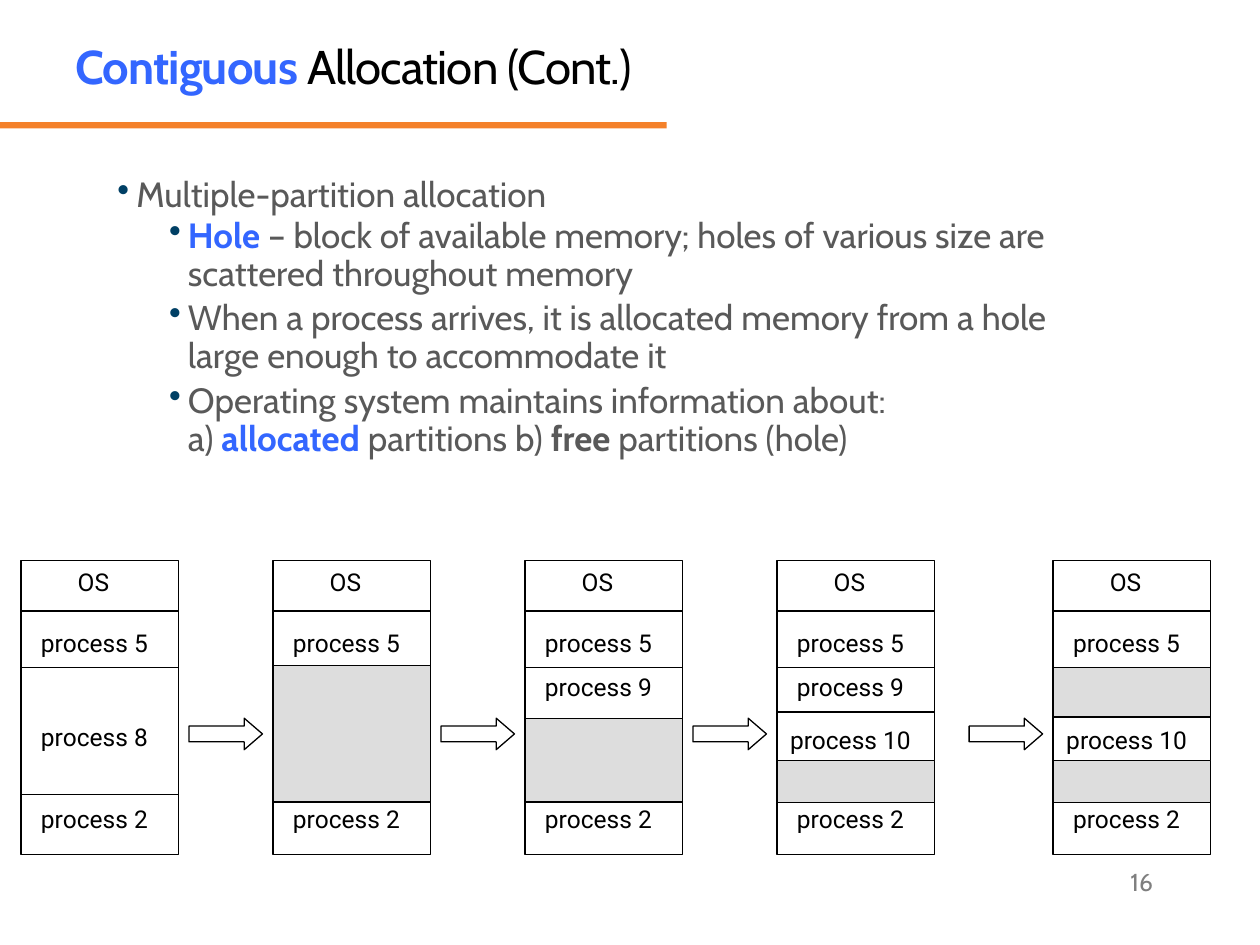
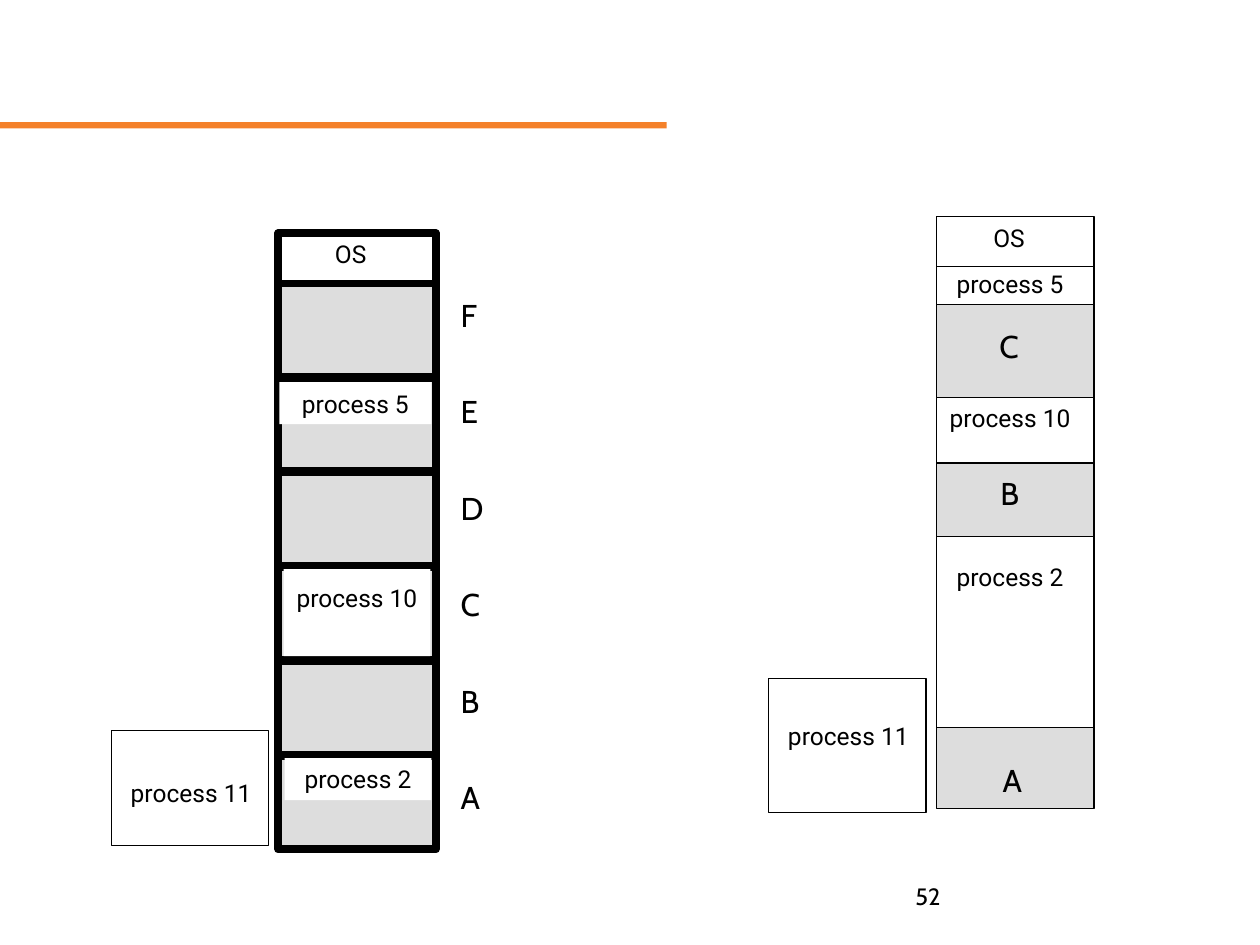
"""Build two slides on contiguous memory allocation, laid out on a grid of 120 by 90 cells."""
from dataclasses import dataclass
from typing import Optional

from lxml import etree
from pptx import Presentation
from pptx.dml.color import RGBColor
from pptx.enum.shapes import MSO_CONNECTOR, MSO_SHAPE
from pptx.enum.text import MSO_ANCHOR, PP_ALIGN
from pptx.oxml.ns import qn
from pptx.util import Inches, Pt

RECTANGLE, RIGHT_ARROW = MSO_SHAPE.RECTANGLE, MSO_SHAPE.RIGHT_ARROW
STRAIGHT = MSO_CONNECTOR.STRAIGHT
TOP, MIDDLE = MSO_ANCHOR.TOP, MSO_ANCHOR.MIDDLE
LEFT, CENTER, RIGHT = PP_ALIGN.LEFT, PP_ALIGN.CENTER, PP_ALIGN.RIGHT

COLORS = {
    "white": "FFFFFF",
    "black": "000000",
    "rule": "F4812A",
    "keyword": "3366FF",
    "body": "595959",
    "bullet": "004065",
    "page": "7F7F7F",
    "hole": "DDDDDD",
}
HEADING_FONT, LABEL_FONT = "Cabin", "Roboto"
SLIDE_WIDTH, SLIDE_HEIGHT = Inches(10), Inches(7.5)
GRID_COLUMNS, GRID_ROWS = 120, 90
MEMORY_WIDTH, LABEL_WIDTH, LABEL_HEIGHT = 15, 14, 4
THIN, THICK = 0.75, 4.5


@dataclass(frozen=True)
class Area:
    """A rectangle in grid columns and rows."""
    left: float
    top: float
    width: float
    height: float


@dataclass(frozen=True)
class Span:
    """A piece of text in one style; it may begin on a new line."""
    text: str
    color: str = "body"
    bold: bool = False
    new_line: bool = False


@dataclass(frozen=True)
class Bullet:
    """A bulleted paragraph, its level and its spans."""
    level: int
    spans: tuple[Span, ...]


@dataclass(frozen=True)
class Memory:
    """A memory map whose parts are given in rows below its top."""
    left: float
    top: float
    height: float
    dividers: tuple[float, ...] = ()
    holes: tuple[tuple[float, float], ...] = ()
    processes: tuple[tuple[str, float], ...] = ()
    line: float = THIN


@dataclass(frozen=True)
class Waiting:
    """A process outside memory and the drop of its label."""
    left: float
    top: float
    height: float
    label_drop: float


@dataclass(frozen=True)
class Resident:
    """A process inside a fixed partition, with the rows kept free below its text."""
    name: str
    area: Area
    foot: float = 0.6


BULLETS = (
    Bullet(0, (Span("Multiple-partition allocation"),)),
    Bullet(1, (Span("Hole", "keyword", True),
               Span(" – block of available memory; holes of various size are "
                    "scattered throughout memory"))),
    Bullet(1, (Span("When a process arrives, it is allocated memory from a hole "
                    "large enough to accommodate it"),)),
    Bullet(1, (Span("Operating system maintains information about:"),
               Span("a) ", new_line=True), Span("allocated ", "keyword", True),
               Span("partitions b) "), Span("free", bold=True),
               Span(" partitions (hole)"))),
)
STAGE_TOP, STAGE_HEIGHT = 53.4, 28
FIRST, LAST = ("process 5", 5.8), ("process 2", 22.6)
NINE, TEN = ("process 9", 10), ("process 10", 15)
STAGES = (
    Memory(2, STAGE_TOP, STAGE_HEIGHT, (4.8, 10.2, 22.3), (),
           (FIRST, ("process 8", 14.8), LAST)),
    Memory(26, STAGE_TOP, STAGE_HEIGHT, (4.8,), ((10, 13),), (FIRST, LAST)),
    Memory(50, STAGE_TOP, STAGE_HEIGHT, (4.8, 10.2), ((15, 8),), (FIRST, NINE, LAST)),
    Memory(74, STAGE_TOP, STAGE_HEIGHT, (4.8, 10.2, 14.4), ((19, 4),),
           (FIRST, NINE, TEN, LAST)),
    Memory(100.3, STAGE_TOP, STAGE_HEIGHT, (4.8,), ((10.2, 4.7), (19, 4)),
           (FIRST, TEN, LAST)),
)
VARIABLE_MEMORY = Memory(
    89.2, 20.6, 50.3, (4.8,), ((8.4, 8.9), (23.5, 7), (48.7, 7.7)),
    (("process 5", 4.4), ("process 10", 17.2), ("process 2", 32.3)))
HOLE_LETTERS = (("C", 94, 30.6), ("B", 94.1, 44.6), ("A", 94.3, 71.9))
FIXED_MEMORY = Memory(26.5, 22.2, 50.3, holes=tuple((4.8 + 9 * k, 8.9) for k in range(6)),
                      line=THICK)
RESIDENTS = (
    Resident("process 5", Area(26.6, 36.4, 14.5, 4)),
    Resident("process 2", Area(27.1, 72.2, 14, 4)),
    Resident("process 10", Area(27, 54.2, 14, 8.3), 3.4),
)
WAITING = (Waiting(73.2, 64.6, 12.8, 3), Waiting(10.6, 69.6, 10.9, 3.4))


def across(columns: float) -> int:
    """Convert grid columns to a length."""
    return round(SLIDE_WIDTH * columns / GRID_COLUMNS)


def down(rows: float) -> int:
    """Convert grid rows to a length."""
    return round(SLIDE_HEIGHT * rows / GRID_ROWS)


def frame(area: Area) -> tuple[int, int, int, int]:
    """Return the left, top, width and height of an area."""
    return across(area.left), down(area.top), across(area.width), down(area.height)


def rgb(color: str) -> RGBColor:
    """Look up a named colour."""
    return RGBColor.from_string(COLORS[color])


def style(font, size: float, name: str, color: str, bold: bool = False) -> None:
    """Set the look of a font."""
    font.size, font.name, font.bold = Pt(size), name, bold
    font.color.rgb = rgb(color)


def add_block(slide, area: Area, fill: Optional[str], line: float = 0, kind=RECTANGLE):
    """Draw a preset shape with an optional fill and black outline."""
    block = slide.shapes.add_shape(kind, *frame(area))
    block.shadow.inherit = False
    if fill:
        block.fill.solid()
        block.fill.fore_color.rgb = rgb(fill)
    else:
        block.fill.background()
    if line:
        block.line.color.rgb = rgb("black")
        block.line.width = Pt(line)
    else:
        block.line.fill.background()
    return block


def add_divider(slide, left: float, top: float) -> None:
    """Draw a line across a memory map."""
    divider = slide.shapes.add_connector(
        STRAIGHT, across(left), down(top), across(left + MEMORY_WIDTH), down(top))
    divider.line.color.rgb = rgb("black")
    divider.line.width = Pt(THIN)
    etree.SubElement(divider._element.spPr, qn("a:effectLst"))


def add_text_frame(slide, area: Area, anchor=TOP):
    """Add an empty wrapping text frame."""
    text_frame = slide.shapes.add_textbox(*frame(area)).text_frame
    text_frame.word_wrap = True
    text_frame.vertical_anchor = anchor
    return text_frame


def write_process(text_frame, name: str) -> None:
    """Write a centred process label."""
    text_frame.margin_left = text_frame.margin_right = 0
    text_frame.text = name
    paragraph = text_frame.paragraphs[0]
    paragraph.alignment = CENTER
    style(paragraph.runs[0].font, 14, LABEL_FONT, "black")


def add_label(slide, name: str, area: Area) -> None:
    """Add a process label over a memory map."""
    write_process(add_text_frame(slide, area, MIDDLE), name)


def add_heading_text(slide, text: str, area: Area, size: float,
                     color: str = "black", alignment=LEFT) -> None:
    """Add one line in the heading font."""
    text_frame = add_text_frame(slide, area)
    text_frame.text = text
    paragraph = text_frame.paragraphs[0]
    paragraph.alignment = alignment
    style(paragraph.runs[0].font, size, HEADING_FONT, color)


def write_spans(paragraph, spans: tuple[Span, ...], size: float) -> None:
    """Write styled spans into a paragraph."""
    paragraph.line_spacing = 0.9
    for span in spans:
        if span.new_line:
            paragraph.add_line_break()
        run = paragraph.add_run()
        run.text = span.text
        style(run.font, size, HEADING_FONT, span.color, span.bold)


def add_title(slide, spans: tuple[Span, ...]) -> None:
    """Add the slide title with tightened letters."""
    paragraph = add_text_frame(slide, Area(6, 3.6, 108, 8)).paragraphs[0]
    write_spans(paragraph, spans, 27)
    for run in paragraph.runs:
        run._r.get_or_add_rPr().set("spc", "-50")


def add_bullets(slide, bullets: tuple[Bullet, ...], area: Area) -> None:
    """Add the bulleted body text."""
    text_frame = add_text_frame(slide, area)
    for index, bullet in enumerate(bullets):
        paragraph = text_frame.add_paragraph() if index else text_frame.paragraphs[0]
        paragraph.level = bullet.level
        properties = paragraph._p.get_or_add_pPr()
        properties.set("marL", str(Inches(0.56 if bullet.level else 0.15)))
        properties.set("indent", str(Inches(-0.15)))
        bullet_color = etree.SubElement(properties, qn("a:buClr"))
        etree.SubElement(bullet_color, qn("a:srgbClr"), val=COLORS["bullet"])
        etree.SubElement(properties, qn("a:buChar"), char="•")
        if bullet.level:
            paragraph.space_before = paragraph.space_after = Pt(1.9)
        write_spans(paragraph, bullet.spans, 20)


def add_memory(slide, memory: Memory) -> None:
    """Draw a memory map with its dividers, holes and labels."""
    left, top = memory.left, memory.top
    add_block(slide, Area(left, top, MEMORY_WIDTH, memory.height), "white", memory.line)
    for drop in memory.dividers:
        add_divider(slide, left, top + drop)
    for drop, height in memory.holes:
        add_block(slide, Area(left, top + drop, MEMORY_WIDTH, height), "hole", memory.line)
    add_label(slide, "OS", Area(left + 4, top, 5.8, LABEL_HEIGHT))
    for name, drop in memory.processes:
        add_label(slide, name, Area(left, top + drop, LABEL_WIDTH, LABEL_HEIGHT))


def add_slide(deck):
    """Add a blank slide with the orange rule."""
    slide = deck.slides.add_slide(deck.slide_layouts[6])
    add_block(slide, Area(0, 11.64, 63.5, 0.6), "rule")
    return slide


def build_allocation(deck) -> None:
    """Build the slide on multiple-partition allocation."""
    slide = add_slide(deck)
    add_title(slide, (Span("Contiguous ", "keyword", True),
                      Span("Allocation (Cont.)", "black")))
    add_bullets(slide, BULLETS, Area(10, 16.3, 96.5, 34.2))
    for stage in STAGES:
        add_memory(slide, stage)
    for stage in STAGES[1:]:
        arrow = add_block(slide, Area(stage.left - 8, STAGE_TOP + 15, 7, 3),
                          "white", THIN, RIGHT_ARROW)
        arrow.adjustments[0], arrow.adjustments[1] = 0.5, 0.58
    add_heading_text(slide, "16", Area(86, 82, 25, 6), 14, "page", RIGHT)


def build_comparison(deck) -> None:
    """Build the slide comparing fixed and variable partitions."""
    slide = add_slide(deck)
    add_memory(slide, VARIABLE_MEMORY)
    add_memory(slide, FIXED_MEMORY)
    for resident in RESIDENTS:
        text_frame = add_block(slide, resident.area, "white").text_frame
        text_frame.vertical_anchor = MIDDLE
        text_frame.margin_bottom = down(resident.foot)
        write_process(text_frame, resident.name)
    for process in WAITING:
        add_block(slide, Area(process.left, process.top, MEMORY_WIDTH, process.height),
                  None, THIN)
        add_label(slide, "process 11", Area(process.left + 0.6, process.top + process.label_drop,
                                            LABEL_WIDTH, 4.9))
    partition_letters = tuple((letter, 42.7, 27.6 + 9.19 * k)
                              for k, letter in enumerate("FEDCBA"))
    for letter, left, top in HOLE_LETTERS + partition_letters:
        add_heading_text(slide, letter, Area(left, top, 4.7, 4.8), 18)
    add_heading_text(slide, "52", Area(86, 83.4, 28, 4.8), 13.5)


def main() -> None:
    """Build and save the deck."""
    deck = Presentation()
    deck.slide_width, deck.slide_height = SLIDE_WIDTH, SLIDE_HEIGHT
    build_allocation(deck)
    build_comparison(deck)
    deck.save("out.pptx")


if __name__ == "__main__":
    main()
